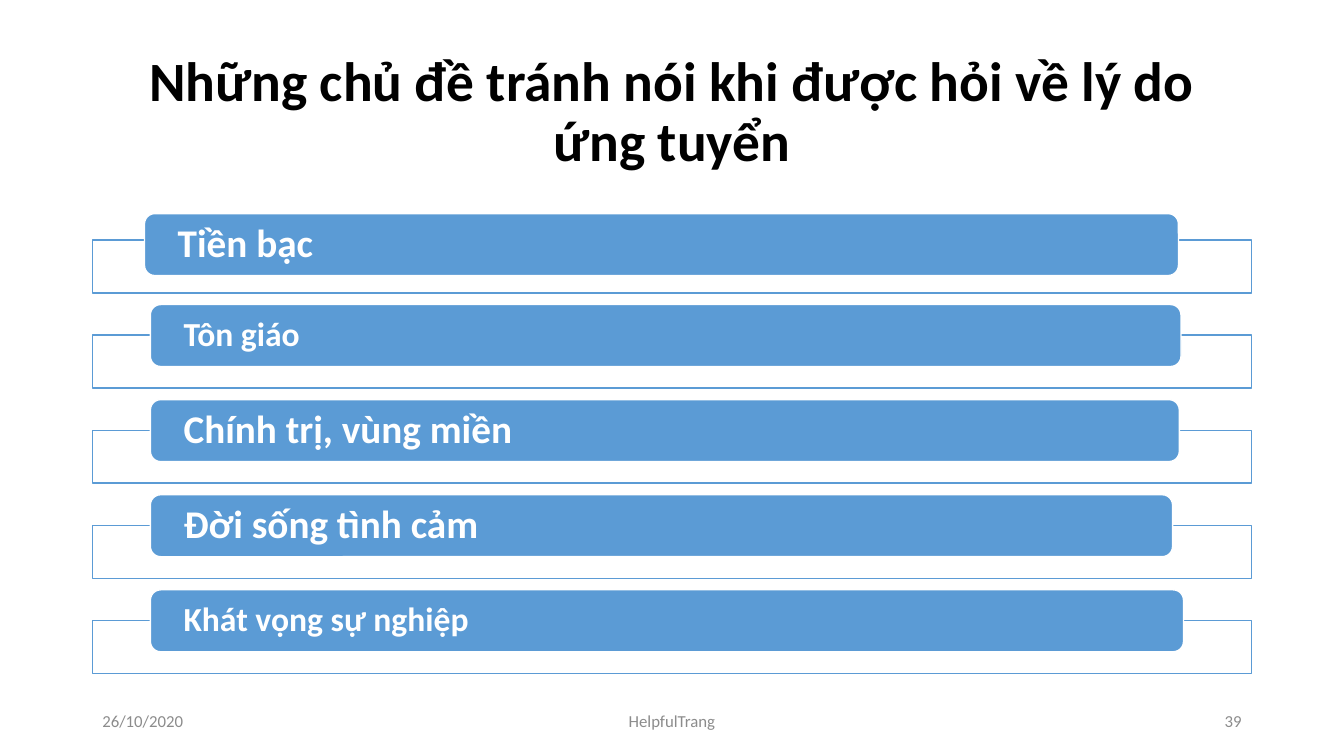
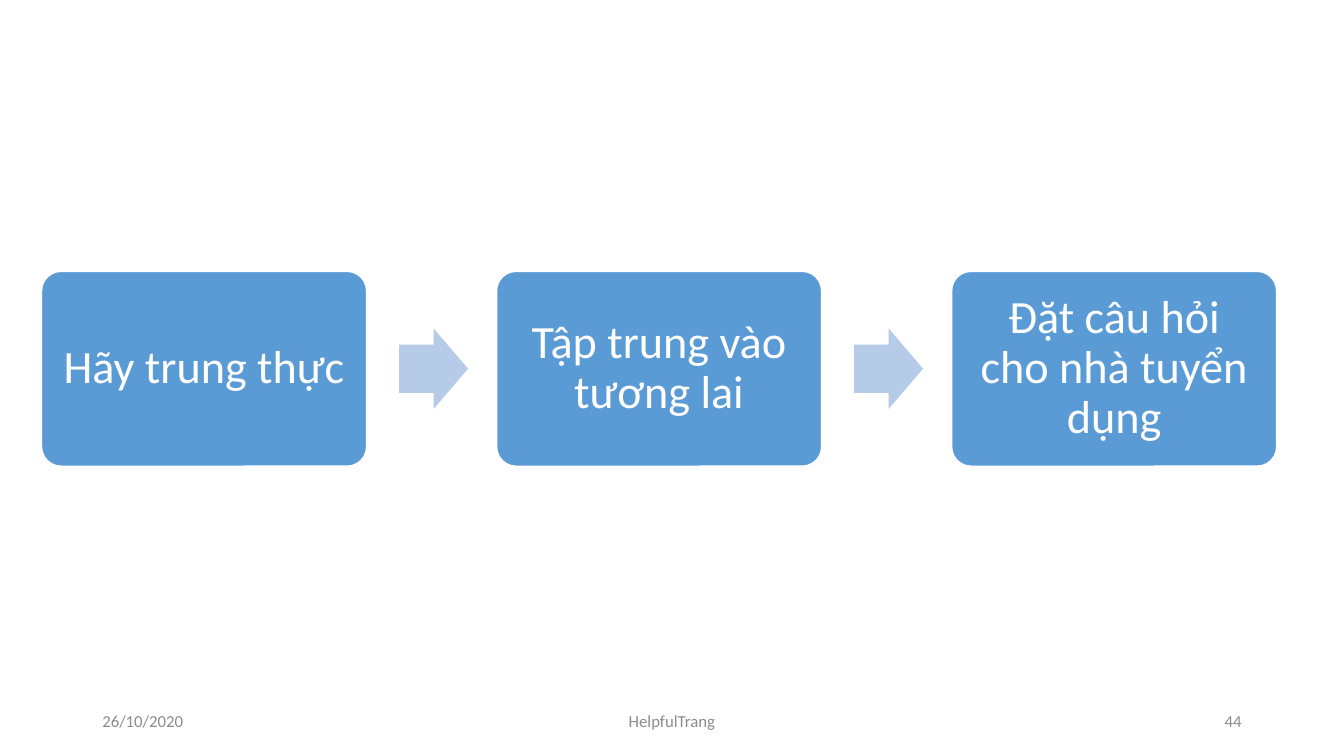
from dataclasses import dataclass

from pptx import Presentation
from pptx.dml.color import RGBColor
from pptx.enum.shapes import MSO_SHAPE
from pptx.enum.text import MSO_ANCHOR, MSO_AUTO_SIZE, PP_ALIGN
from pptx.util import Emu, Inches, Pt

RECT, ROUND, ARROW = MSO_SHAPE.RECTANGLE, MSO_SHAPE.ROUNDED_RECTANGLE, MSO_SHAPE.RIGHT_ARROW
LEFT, CENTER, RIGHT = PP_ALIGN.LEFT, PP_ALIGN.CENTER, PP_ALIGN.RIGHT
MIDDLE, NO_AUTOFIT = MSO_ANCHOR.MIDDLE, MSO_AUTO_SIZE.NONE

# The slide is a grid of 160 columns by 90 rows of square cells.
COLS, ROWS = 160, 90
CELL = Inches(1) // 12
MARGIN = 11
CONTENT = COLS - 2 * MARGIN

FONT = "Calibri"
BLUE, PALE_BLUE, WHITE, BLACK, GREY = "5B9BD5", "B5CBE7", "FFFFFF", "000000", "8C8C8C"


@dataclass(frozen=True)
class Box:
    """Left, top, width and height in grid cells."""
    x: float
    y: float
    w: float
    h: float

    def emu(self) -> list[Emu]:
        return [Emu(round(v * CELL)) for v in (self.x, self.y, self.w, self.h)]


@dataclass(frozen=True)
class TextStyle:
    size: float
    color: str
    bold: bool = False
    align: PP_ALIGN = LEFT
    spacing: float = 1.0


@dataclass(frozen=True)
class Bar:
    text: str
    size: int
    x: float
    w: float
    rise: float = 3.64


TITLE_BOX = Box(MARGIN, 4.8, CONTENT, 17.4)
TITLE_STYLE = TextStyle(39.6, BLACK, True, CENTER, 0.9)
STEP_STYLE = TextStyle(33, WHITE, False, CENTER, 0.9)

FOOTER_Y, FOOTER_H = 83.42, 4.8
SIDE_W, MID_W = 36, 54

FRAME_Y, FRAME_H, FRAME_PITCH = 28.58, 6.3, 11.32
BAR_H = 7.38
BARS = [
    Bar("Tiền bạc", 28, 17.2, 123.1, 3.15),
    Bar("Tôn giáo", 24, 17.9, 122.7),
    Bar("Chính trị, vùng miền", 28, 17.9, 122.5),
    Bar("Đời sống tình cảm", 28, 17.9, 121.7),
    Bar("Khát vọng sự nghiệp", 24, 17.9, 123),
]

STEP_BOX = Box(4.95, 32.3, 38.7, 23.2)
STEP_PITCH = 54.17
ARROW_W, ARROW_H, ARROW_GAP = 8.2, 9.6, 3.87
STEPS = ["Hãy trung thực", "Tập trung vào tương lai", "Đặt câu hỏi cho nhà tuyển dụng"]


def rgb(color: str) -> RGBColor:
    return RGBColor.from_string(color)


def write(sp, text: str, style: TextStyle, **frame_format) -> None:
    tf = sp.text_frame
    frame = {"word_wrap": True, "auto_size": NO_AUTOFIT, "vertical_anchor": MIDDLE}
    for name, value in (frame | frame_format).items():
        setattr(tf, name, value)
    p = tf.paragraphs[0]
    p.alignment, p.line_spacing = style.align, style.spacing
    r = p.add_run()
    r.text = text
    for name, value in {"name": FONT, "size": Pt(style.size), "bold": style.bold}.items():
        setattr(r.font, name, value)
    r.font.color.rgb = rgb(style.color)


def margins(x: float, y: float) -> dict[str, Emu]:
    """Inner margins of a text frame, in inches."""
    return {"margin_left": Inches(x), "margin_right": Inches(x),
            "margin_top": Inches(y), "margin_bottom": Inches(y)}


def add_shape(s, kind: MSO_SHAPE, box: Box, fill: str, line: str | None = None,
              adjust: tuple[float, ...] = ()):
    sp = s.shapes.add_shape(kind, *box.emu())
    sp.shadow.inherit = False
    sp.fill.solid()
    sp.fill.fore_color.rgb = rgb(fill)
    if line:
        sp.line.color.rgb = rgb(line)
        sp.line.width = Pt(1)
    else:
        sp.line.fill.background()
    for i, value in enumerate(adjust):
        sp.adjustments[i] = value
    return sp


def add_title(s, text: str) -> None:
    sp = s.shapes.title
    sp.left, sp.top, sp.width, sp.height = TITLE_BOX.emu()
    write(sp, text, TITLE_STYLE)


def add_footer(s, number: int) -> None:
    parts = [
        ("26/10/2020", MARGIN, SIDE_W, LEFT),
        ("HelpfulTrang", (COLS - MID_W) / 2, MID_W, CENTER),
        (str(number), COLS - MARGIN - SIDE_W, SIDE_W, RIGHT),
    ]
    for text, x, w, align in parts:
        sp = s.shapes.add_textbox(*Box(x, FOOTER_Y, w, FOOTER_H).emu())
        write(sp, text, TextStyle(12, GREY, align=align))


def add_bars(s) -> None:
    for i, bar in enumerate(BARS):
        y = FRAME_Y + i * FRAME_PITCH
        add_shape(s, RECT, Box(MARGIN, y, CONTENT, FRAME_H), WHITE, BLUE)
        sp = add_shape(s, ROUND, Box(bar.x, y - bar.rise, bar.w, BAR_H), BLUE, WHITE)
        write(sp, bar.text, TextStyle(bar.size, WHITE, True, spacing=0.9), **margins(0.3, 0))


def add_steps(s) -> None:
    arrow_y = STEP_BOX.y + (STEP_BOX.h - ARROW_H) / 2
    for i, text in enumerate(STEPS):
        x = STEP_BOX.x + i * STEP_PITCH
        if i:
            arrow_x = x - STEP_PITCH + STEP_BOX.w + ARROW_GAP
            add_shape(s, ARROW, Box(arrow_x, arrow_y, ARROW_W, ARROW_H), PALE_BLUE,
                      adjust=(0.6, 0.5))
        sp = add_shape(s, ROUND, Box(x, STEP_BOX.y, STEP_BOX.w, STEP_BOX.h), BLUE, WHITE, (0.1,))
        write(sp, text, STEP_STYLE, **margins(0.14, 0.14))


def main() -> None:
    prs = Presentation()
    prs.slide_width, prs.slide_height = Emu(COLS * CELL), Emu(ROWS * CELL)
    title_only, blank = prs.slide_layouts[5], prs.slide_layouts[6]

    s = prs.slides.add_slide(title_only)
    add_title(s, "Những chủ đề tránh nói khi được hỏi về lý do ứng tuyển")
    add_bars(s)
    add_footer(s, 39)

    s = prs.slides.add_slide(blank)
    add_steps(s)
    add_footer(s, 44)

    prs.save("out.pptx")


if __name__ == "__main__":
    main()
